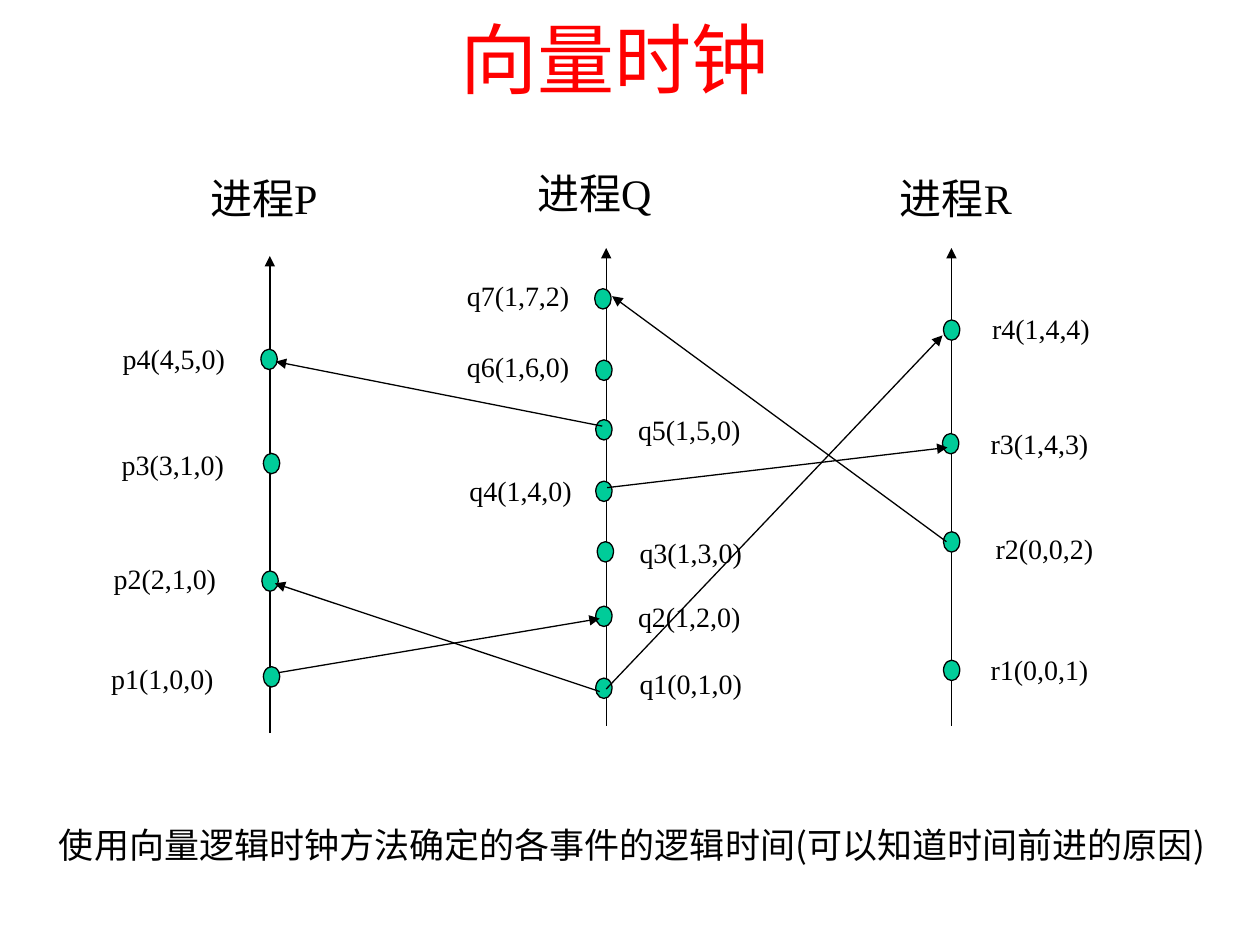
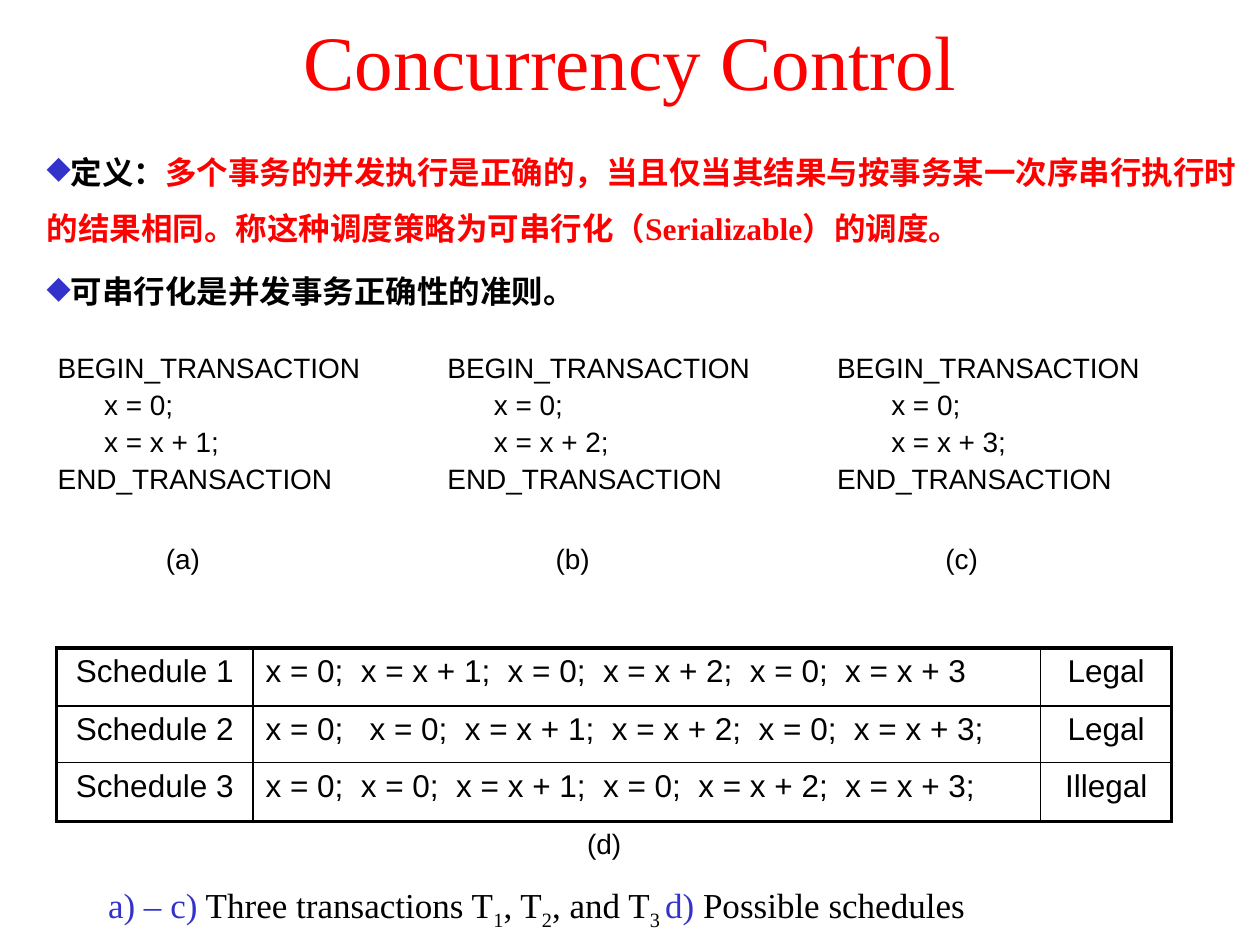
from pptx import Presentation
from pptx.dml.color import RGBColor
from pptx.enum.shapes import MSO_CONNECTOR, MSO_SHAPE
from pptx.enum.text import MSO_ANCHOR, PP_ALIGN
from pptx.oxml import parse_xml
from pptx.oxml.ns import nsdecls
from pptx.util import Cm, Pt

HUES = {"red": "FF0000", "ink": "000000", "blue": "3333CC", "dot": "00CC99"}
TIMES, ARIAL, NOTO = "Times New Roman", "Arial", "Noto Sans CJK SC"
CENTER = PP_ALIGN.CENTER


def style(para, size, face=TIMES, hue="ink", bold=False):
    for run in para.runs:
        run.font.size = Pt(size)
        run.font.name = face
        run.font.bold = bold
        run.font.color.rgb = RGBColor.from_string(HUES[hue])


def put(slide, text, box, size, face=TIMES, hue="ink", align=CENTER):
    """Add a wrapped text box of one paragraph and return its frame."""
    frame = slide.shapes.add_textbox(*map(Cm, box)).text_frame
    frame.word_wrap = True
    para = frame.paragraphs[0]
    para.text = text
    para.alignment = align
    style(para, size, face, hue)
    return frame


deck = Presentation()
deck.slide_width, deck.slide_height = Cm(25.4), Cm(19.05)
blank = deck.slide_layouts[6]
clock, control = [deck.slides.add_slide(blank) for _ in range(2)]

titles = [(clock, "向量时钟", (5.44, 0, 13.92, 2.34)),
          (control, "Concurrency Control", (0, 0, 25.4, 2.39))]
for slide, text, box in titles:
    put(slide, text, box, 44, hue="red").vertical_anchor = MSO_ANCHOR.MIDDLE

# Slide 1: vector clocks of three processes
note = put(clock, "使用向量逻辑时钟方法确定的各事件的逻辑时间(可以知道时间前进的原因)",
           (0.94, 16.48, 23.9, 1.27), 20, NOTO, align=PP_ALIGN.LEFT)
hang = note.paragraphs[0]._p.get_or_add_pPr()
hang.set("marL", str(Cm(1.7)))
hang.set("indent", str(Cm(-1.7)))

# name, left, top of the heading; x, foot, tip of the time axis
lanes = [("进程P", 3.35, 3.35, 5.44, 14.78, 5.16),
         ("进程Q", 10.01, 3.25, 12.22, 14.63, 5),
         ("进程R", 17.3, 3.35, 19.18, 14.63, 5)]

# label, left and top of the dot, left and top of the label
events = [
    ("p1(1,0,0)", 5.31, 13.44, 1.8, 13.21),
    ("p2(2,1,0)", 5.28, 11.51, 1.85, 11.2),
    ("p3(3,1,0)", 5.31, 9.14, 2.01, 8.89),
    ("p4(4,5,0)", 5.26, 7.04, 2.03, 6.76),
    ("q1(0,1,0)", 12.01, 13.67, 12.45, 13.31),
    ("q2(1,2,0)", 12.01, 12.22, 12.42, 11.96),
    ("q3(1,3,0)", 12.04, 10.92, 12.45, 10.67),
    ("q4(1,4,0)", 12.01, 9.7, 9.02, 9.42),
    ("q5(1,5,0)", 12.01, 8.46, 12.42, 8.2),
    ("q6(1,6,0)", 12.01, 7.26, 8.97, 6.93),
    ("q7(1,7,2)", 11.99, 5.82, 8.97, 5.49),
    ("r1(0,0,1)", 19.02, 13.31, 19.48, 13.03),
    ("r2(0,0,2)", 19.02, 10.72, 19.58, 10.59),
    ("r3(1,4,3)", 19, 8.74, 19.48, 8.48),
    ("r4(1,4,4)", 19.02, 6.45, 19.51, 6.15),
]

axes = [(x, foot, x, tip) for *_, x, foot, tip in lanes]
sends = [
    (5.61, 13.56, 12.09, 12.47),   # p1 to q2
    (12.24, 9.83, 19.1, 9.02),     # q4 to r3
    (12.22, 13.89, 19, 6.76),      # q1 to r4
    (12.09, 13.94, 5.54, 11.76),   # q1 to p2
    (12.14, 8.59, 5.56, 7.29),     # q5 to p4
    (19.08, 10.92, 12.34, 5.97),   # r2 to q7
]
for step, ends in enumerate(axes + sends):
    if step == len(axes):  # dots lie over the axes and under the messages
        for _, left, top, *_ in events:
            dot = clock.shapes.add_shape(
                MSO_SHAPE.FLOWCHART_CONNECTOR, Cm(left), Cm(top), Cm(0.33), Cm(0.41))
            dot.shadow.inherit = False
            dot.fill.solid()
            dot.fill.fore_color.rgb = RGBColor.from_string(HUES["dot"])
            dot.line.color.rgb = RGBColor.from_string(HUES["ink"])
            dot.line.width = Pt(0.75)
    arrow = clock.shapes.add_connector(MSO_CONNECTOR.STRAIGHT, *map(Cm, ends))
    arrow.line.color.rgb = RGBColor.from_string(HUES["ink"])
    arrow.line.width = Pt(0.75)
    arrow.line._get_or_add_ln().append(
        parse_xml(f'<a:tailEnd {nsdecls("a")} type="triangle"/>'))
    arrow._element.spPr.append(parse_xml(f'<a:effectLst {nsdecls("a")}/>'))

for name, left, top, *_ in lanes:
    put(clock, name, (left, top, 3.94, 1.27), 24)
for name, _, _, left, top in events:
    put(clock, name, (left, top, 2.95, 0.94), 16)

# Slide 2: definition, transactions and schedules
points = [
    [("定义：", "ink"),
     ("多个事务的并发执行是正确的，当且仅当其结果与按事务某一次序串行执行时的结果相同。"
      "称这种调度策略为可串行化（Serializable）的调度。", "red")],
    [("可串行化是并发事务正确性的准则。", "ink")],
]
body = put(control, "", (0.69, 2.57, 24.51, 4.04), 18, align=PP_ALIGN.LEFT)
for row, parts in enumerate(points):
    para = body.add_paragraph() if row else body.paragraphs[0]
    para.line_spacing = 1.5
    if row:
        para.space_before = Pt(3.6)
    props = para._p.get_or_add_pPr()
    props.append(parse_xml(
        f'<a:buClr {nsdecls("a")}><a:srgbClr val="{HUES["blue"]}"/></a:buClr>'))
    props.append(parse_xml(f'<a:buChar {nsdecls("a")} char="◆"/>'))
    for text, _ in parts:
        para.add_run().text = text
    style(para, 18, bold=True)
    for run, (_, hue) in zip(para.runs, parts):
        run.font.color.rgb = RGBColor.from_string(HUES[hue])

parts = [("a) – c)", "blue", 0), (" Three transactions T", "ink", 0), ("1", "ink", 1),
         (", T", "ink", 0), ("2", "ink", 1), (", and T", "ink", 0), ("3 ", "ink", 1),
         ("d)", "blue", 0), (" Possible schedules", "ink", 0)]
legend = put(control, "", (1.93, 17.7, 22.4, 1.07), 20, align=PP_ALIGN.LEFT).paragraphs[0]
legend.line_spacing = 0.9
for text, _, _ in parts:
    legend.add_run().text = text
style(legend, 20)
for run, (_, hue, sub) in zip(legend.runs, parts):
    run.font.color.rgb = RGBColor.from_string(HUES[hue])
    if sub:
        run._r.get_or_add_rPr().set("baseline", "-25000")

codes = control.shapes.add_table(1, 3, Cm(0.91), Cm(6.86), Cm(23.57), Cm(5.61)).table
codes.first_row = codes.horz_banding = False
for col, (mark, pad) in enumerate([("(a)", 6), ("(b)", 6), ("(c)", 7)]):
    cell = codes.cell(0, col)
    cell.fill.background()
    gap = " " * pad
    code = cell.text_frame.paragraphs[0]
    code.text = f"BEGIN_TRANSACTION\n{gap}x = 0;\n{gap}x = x + {col + 1};\nEND_TRANSACTION"
    tag = cell.text_frame.add_paragraph()
    tag.text = mark
    tag.space_before = Pt(24)
    tag._p.get_or_add_pPr().set("marL", str(Cm(2.18)))
    for para in (code, tag):
        para.line_spacing = 1.2
        style(para, 16, ARIAL)

plans = [
    ("Schedule 1", "x = 0;  x = x + 1;  x = 0;  x = x + 2;  x = 0;  x = x + 3", "Legal"),
    ("Schedule 2", "x = 0;   x = 0;  x = x + 1;  x = x + 2;  x = 0;  x = x + 3;", "Legal"),
    ("Schedule 3", "x = 0;  x = 0;  x = x + 1;  x = 0;  x = x + 2;  x = x + 3;", "Illegal"),
]
grid = control.shapes.add_table(3, 3, Cm(1.14), Cm(13.06), Cm(22.48), Cm(3.5)).table
grid.first_row = grid.horz_banding = False
for col, width in zip(grid.columns, (3.96, 15.88, 2.64)):
    col.width = Cm(width)
for line, height in zip(grid.rows, (1.17, 1.14, 1.19)):
    line.height = Cm(height)
for row, plan in enumerate(plans):
    for col, text in enumerate(plan):
        cell = grid.cell(row, col)
        props = cell._tc.get_or_add_tcPr()
        outer = {"L": col == 0, "R": col == 2, "T": row == 0, "B": row == 2}
        for side, thick in outer.items():
            props.append(parse_xml(
                f'<a:ln{side} {nsdecls("a")} w="{Pt(2.25 if thick else 1)}"><a:solidFill>'
                f'<a:srgbClr val="{HUES["ink"]}"/></a:solidFill></a:ln{side}>'))
        cell.fill.background()
        para = cell.text_frame.paragraphs[0]
        para.text = text
        para.alignment = PP_ALIGN.LEFT if col == 1 else CENTER
        style(para, 18, ARIAL)

put(control, "(d)", (10.62, 16.54, 3.12, 0.94), 16, ARIAL)

deck.save("out.pptx")
